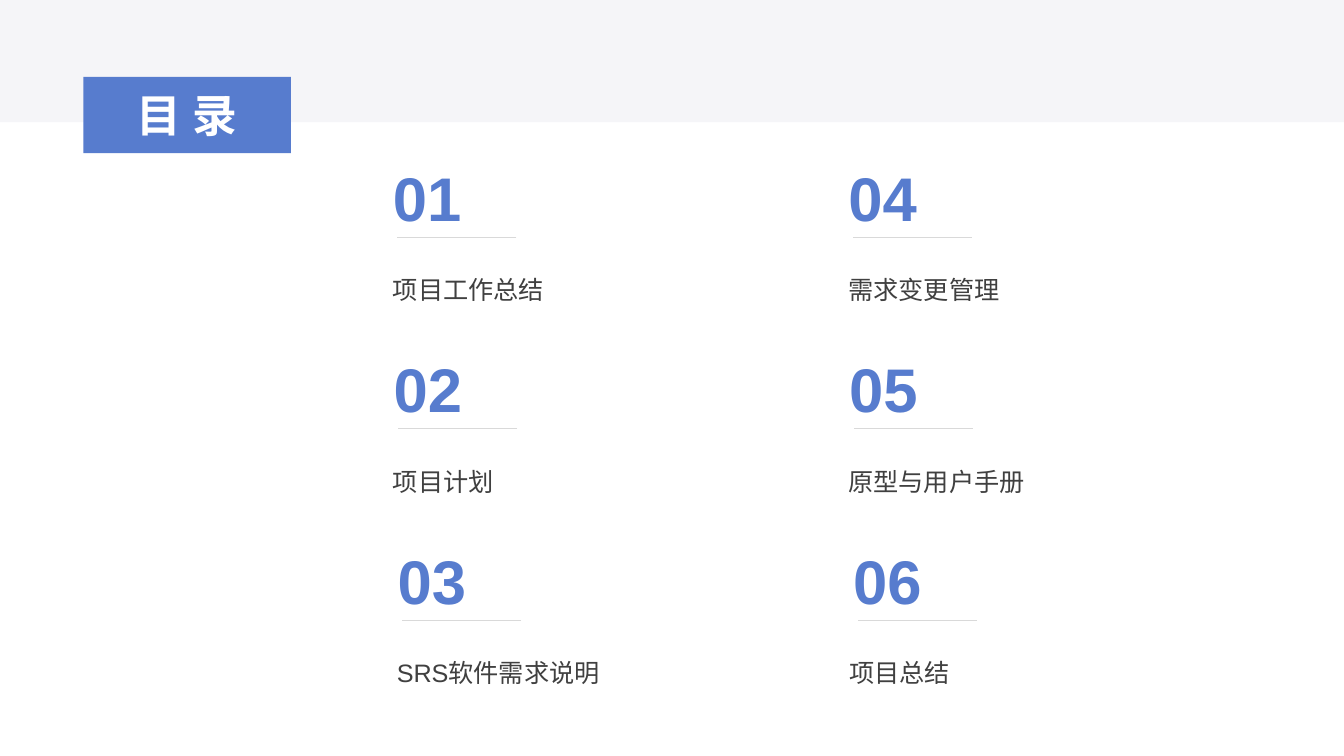
"""Build a contents slide with six numbered sections in two columns."""
from dataclasses import dataclass

from lxml import etree
from pptx import Presentation
from pptx.dml.color import RGBColor
from pptx.enum import shapes, text
from pptx.oxml import ns
from pptx.util import Cm, Pt

TITLE = "目录"
COLUMNS = [
    ["项目工作总结", "项目计划", "SRS软件需求说明"],
    ["需求变更管理", "原型与用户手册", "项目总结"],
]
NUMBER_SHIFTS = [0, 0.02, 0.12]
LABEL_SHIFTS = [[0, 0, 0.1], [0, 0, 0.02]]


@dataclass(frozen=True)
class Theme:
    font: str = "Arial"
    blue: str = "577CCE"
    band: str = "F5F5F8"
    ink: str = "404040"
    rule: str = "D9D9D9"
    white: str = "FFFFFF"
    title_size: int = 32
    number_size: int = 44
    label_size: int = 18


THEME = Theme()
SLIDE_WIDTH, SLIDE_HEIGHT = 33.87, 19.05
COLUMN_LEFT, COLUMN_PITCH = 9.65, 11.48
ROW_TOP, ROW_PITCH = 3.9, 4.83
NUMBER_BOX = (2.26, 2.13)
LABEL_BOX = (9, 1.7)
RULE_OFFSET = (0.36, 2.07)
RULE_LENGTH = 3
LABEL_DROP = 2.51


def add_run(paragraph, words, size, color, bold=False):
    run = paragraph.add_run()
    run.text = words
    run.font.name = THEME.font
    run.font.size = Pt(size)
    run.font.bold = bold
    run.font.color.rgb = RGBColor.from_string(color)
    return run


def add_block(slide, left, top, width, height, color):
    block = slide.shapes.add_shape(
        shapes.MSO_SHAPE.RECTANGLE, Cm(left), Cm(top), Cm(width), Cm(height))
    block.shadow.inherit = False
    block.fill.solid()
    block.fill.fore_color.rgb = RGBColor.from_string(color)
    block.line.fill.background()
    return block


def add_text_box(slide, left, top, size):
    box = slide.shapes.add_textbox(Cm(left), Cm(top), *map(Cm, size))
    box.text_frame.word_wrap = True
    return box.text_frame.paragraphs[0]


def add_rule(slide, left, top):
    rule = slide.shapes.add_connector(
        shapes.MSO_CONNECTOR.STRAIGHT,
        Cm(left + RULE_LENGTH), Cm(top), Cm(left), Cm(top))
    rule.line.color.rgb = RGBColor.from_string(THEME.rule)
    rule.line.width = Pt(0.5)
    etree.SubElement(rule.element.spPr, ns.qn("a:effectLst"))


def add_section(slide, column, row, label):
    left = COLUMN_LEFT + column * COLUMN_PITCH
    top = ROW_TOP + row * ROW_PITCH
    number_left = left + NUMBER_SHIFTS[row]
    number = column * len(COLUMNS[0]) + row + 1

    paragraph = add_text_box(
        slide, left + LABEL_SHIFTS[column][row], top + LABEL_DROP, LABEL_BOX)
    paragraph.alignment = text.PP_ALIGN.JUSTIFY
    paragraph.line_spacing = 1.5
    paragraph.space_after = Pt(20)
    add_run(paragraph, label, THEME.label_size, THEME.ink)

    paragraph = add_text_box(slide, number_left, top, NUMBER_BOX)
    add_run(paragraph, f"{number:02}", THEME.number_size, THEME.blue, bold=True)
    add_rule(slide, number_left + RULE_OFFSET[0], top + RULE_OFFSET[1])


def add_title(slide):
    block = add_block(slide, 2.1, 1.94, 5.23, 1.92, THEME.blue)
    block.text_frame.vertical_anchor = text.MSO_ANCHOR.MIDDLE
    paragraph = block.text_frame.paragraphs[0]
    paragraph.alignment = text.PP_ALIGN.CENTER
    run = add_run(paragraph, TITLE, THEME.title_size, THEME.white, bold=True)
    run.font._element.set("spc", "800")


def main():
    presentation = Presentation()
    presentation.slide_width = Cm(SLIDE_WIDTH)
    presentation.slide_height = Cm(SLIDE_HEIGHT)
    slide = presentation.slides.add_slide(presentation.slide_layouts[6])
    add_block(slide, 0, 0, SLIDE_WIDTH, 3.08, THEME.band)
    for column, labels in enumerate(COLUMNS):
        for row, label in enumerate(labels):
            add_section(slide, column, row, label)
    add_title(slide)
    presentation.save("out.pptx")


if __name__ == "__main__":
    main()
